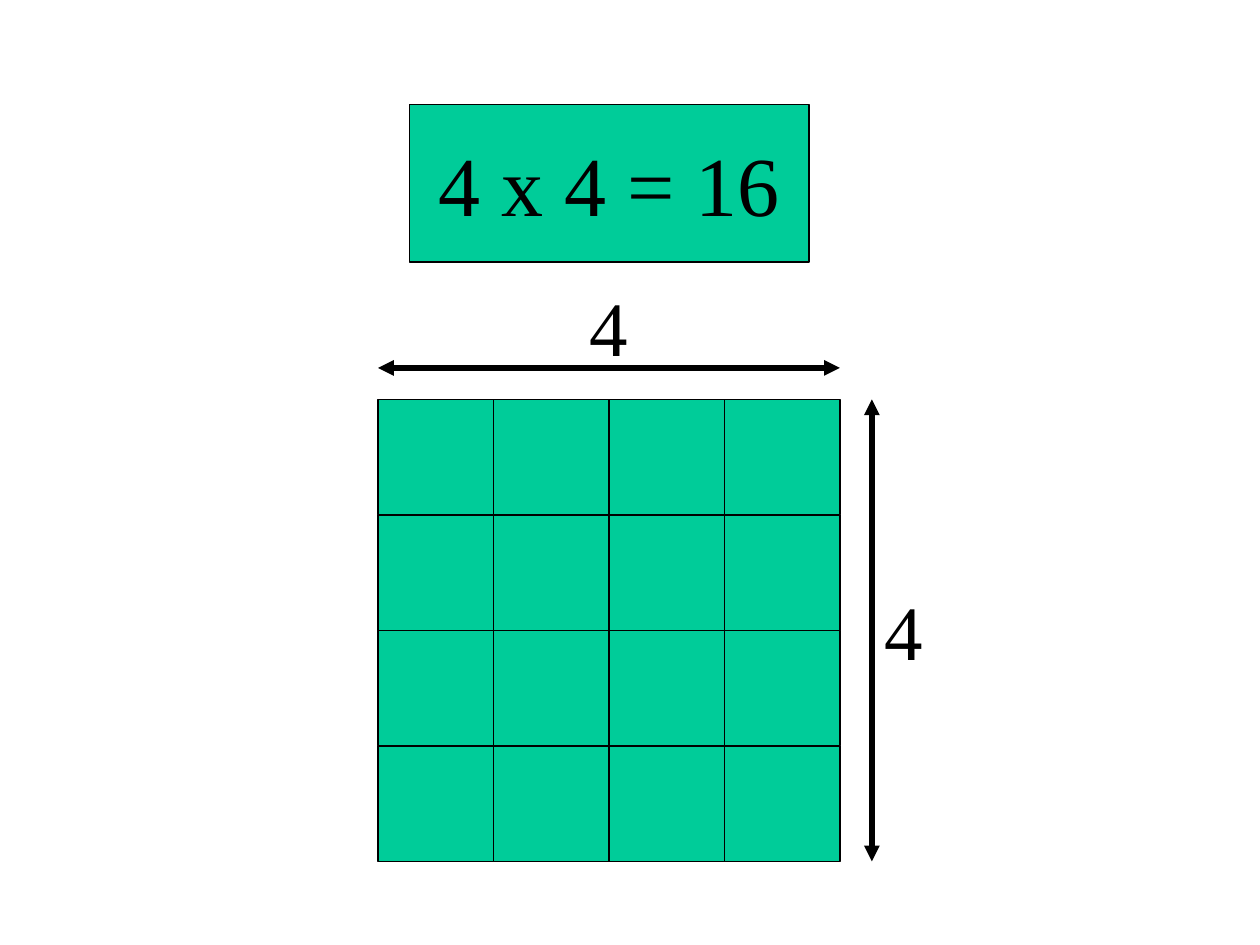
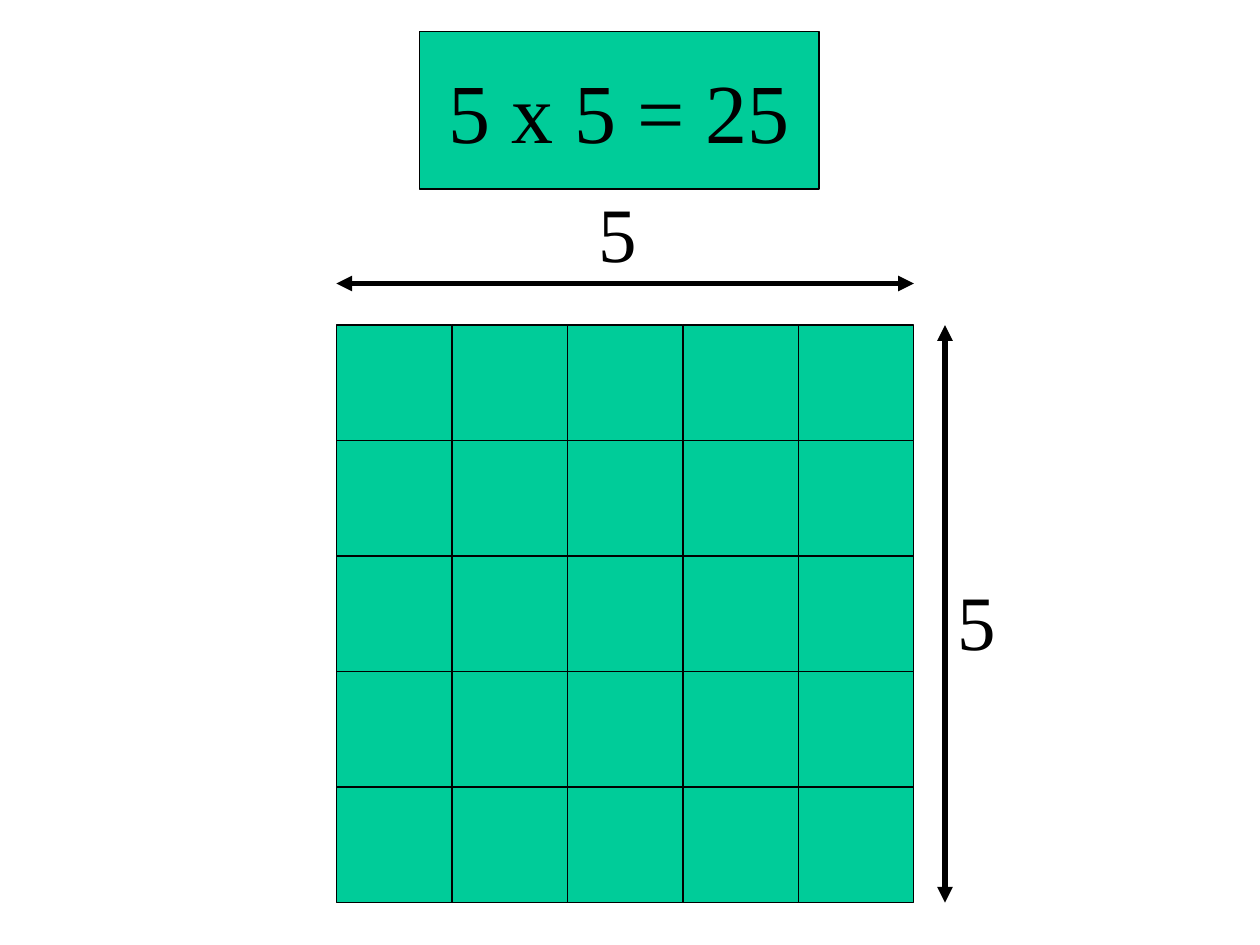
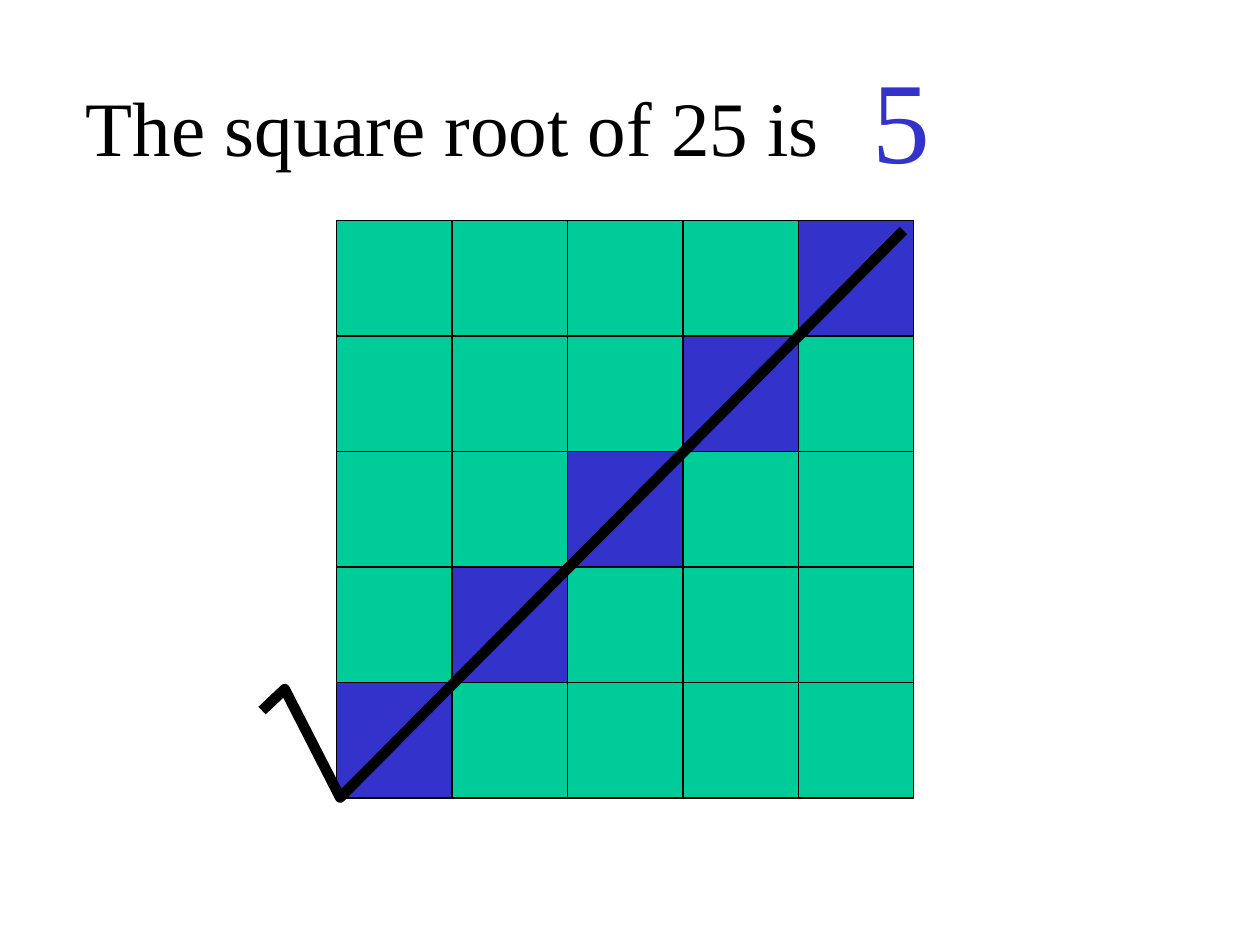
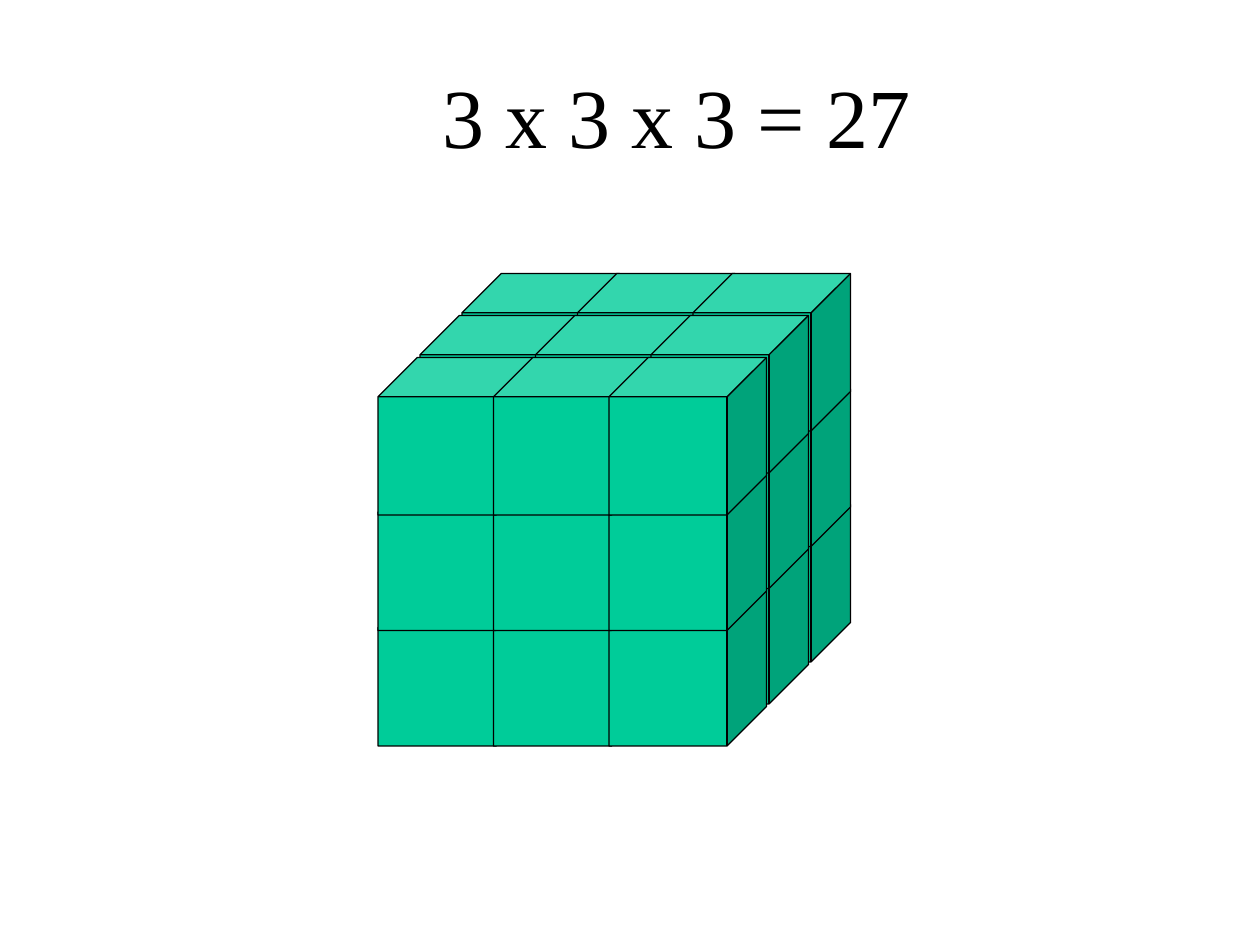
"""Build four slides on squares, square roots and cubes."""
from dataclasses import dataclass
from itertools import product

from lxml import etree
from pptx import Presentation
from pptx.dml.color import RGBColor
from pptx.enum.shapes import MSO_CONNECTOR, MSO_SHAPE
from pptx.enum.text import MSO_ANCHOR, MSO_AUTO_SIZE, PP_ALIGN
from pptx.oxml.ns import qn
from pptx.util import Inches, Pt

RECTANGLE, CUBE = MSO_SHAPE.RECTANGLE, MSO_SHAPE.CUBE
STRAIGHT = MSO_CONNECTOR.STRAIGHT
TOP, MIDDLE = MSO_ANCHOR.TOP, MSO_ANCHOR.MIDDLE
LEFT, CENTER = PP_ALIGN.LEFT, PP_ALIGN.CENTER
NO_AUTOFIT, GROW = MSO_AUTO_SIZE.NONE, MSO_AUTO_SIZE.SHAPE_TO_FIT_TEXT

COLORS = {"green": "00CC99", "blue": "3333CC", "black": "000000"}
FONT = "Times New Roman"
TITLE_ONLY = 5
CELL = 11 / 12
CUBE_SIZE = 1.25
DEPTH_STEP = 1 / 3
LABEL_WIDTH, LABEL_HEIGHT = 0.83, 0.84


@dataclass(frozen=True)
class Box:
    """A place on the slide, in inches."""
    left: float
    top: float
    width: float
    height: float

    def lengths(self) -> list:
        """Return the four values as lengths."""
        return [Inches(value) for value in (self.left, self.top, self.width, self.height)]


@dataclass(frozen=True)
class SquareSlide:
    """A square of cells with its equation and measured sides."""
    side: int
    left: float
    top: float
    title: Box
    width_arrow_top: float
    height_arrow_left: float
    width_label: tuple[float, float]
    height_label: tuple[float, float]


SQUARES = (
    SquareSlide(4, 3, 3.17, Box(3.25, 0.83, 3.17, 1.25), 2.92, 6.92, (4.58, 2.17), (6.92, 4.58)),
    SquareSlide(5, 2.67, 2.58, Box(3.33, 0.25, 3.17, 1.25), 2.25, 7.5, (4.65, 1.42), (7.5, 4.5)),
)
ROOT_SIGN = ((2.08, 5.64), (2.26, 5.47), (2.7, 6.33), (7.17, 1.83))


def color(name: str) -> RGBColor:
    """Look up a colour by name."""
    return RGBColor.from_string(COLORS[name])


def paint(shape, fill: str = "green") -> None:
    """Give a shape its fill and thin black outline."""
    shape.fill.solid()
    shape.fill.fore_color.rgb = color(fill)
    shape.line.color.rgb = color("black")
    shape.line.width = Pt(0.75)


def write(shape, text: str, size: float, font_color: str = "black", align=LEFT) -> None:
    """Put one formatted line of text in a shape."""
    paragraph = shape.text_frame.paragraphs[0]
    paragraph.text = text
    paragraph.alignment = align
    font = paragraph.runs[0].font
    font.name, font.size = FONT, Pt(size)
    font.color.rgb = color(font_color)


def set_title(slide, text: str, box: Box, size: float = 48, align=CENTER, anchor=MIDDLE):
    """Move and write the title placeholder."""
    title = slide.shapes.title
    title.left, title.top, title.width, title.height = box.lengths()
    frame = title.text_frame
    frame.auto_size = NO_AUTOFIT
    frame.word_wrap = False
    frame.vertical_anchor = anchor
    write(title, text, size, align=align)
    return title


def add_label(slide, text: str, box: Box, size: float = 44, font_color: str = "black") -> None:
    """Add a number that stands free on the slide."""
    label = slide.shapes.add_textbox(*box.lengths())
    label.text_frame.word_wrap = True
    label.text_frame.auto_size = GROW
    write(label, text, size, font_color)


def add_solid(slide, kind, box: Box, fill: str = "green") -> None:
    """Add one painted cell or cube."""
    shape = slide.shapes.add_shape(kind, *box.lengths())
    shape.shadow.inherit = False
    paint(shape, fill)


def add_grid(slide, side: int, left: float, top: float, diagonal: str = "green") -> None:
    """Add a square of cells with a coloured rising diagonal."""
    for row, column in product(range(side), repeat=2):
        fill = diagonal if row + column == side - 1 else "green"
        add_solid(slide, RECTANGLE, Box(left + column * CELL, top + row * CELL, CELL, CELL), fill)


def add_double_arrow(slide, start: tuple[float, float], end: tuple[float, float]) -> None:
    """Add a measuring line with a head at both ends."""
    connector = slide.shapes.add_connector(STRAIGHT, *map(Inches, start + end))
    connector.line.color.rgb = color("black")
    connector.line.width = Pt(3)
    line = connector.line._get_or_add_ln()
    for tag in ("a:headEnd", "a:tailEnd"):
        etree.SubElement(line, qn(tag), type="triangle")
    etree.SubElement(connector._element.spPr, qn("a:effectLst"))


def add_root_sign(slide) -> None:
    """Draw the root sign along the diagonal."""
    points = [(Inches(x), Inches(y)) for x, y in ROOT_SIGN]
    builder = slide.shapes.build_freeform(*points[0], scale=1.0)
    builder.add_line_segments(points[1:], close=False)
    sign = builder.convert_to_shape()
    sign.shadow.inherit = False
    sign.fill.background()
    sign.line.color.rgb = color("black")
    sign.line.width = Pt(6)


def build_square(slide, square: SquareSlide) -> None:
    """Show a number multiplied by itself."""
    side = square.side
    right, bottom = square.left + side * CELL, square.top + side * CELL
    add_grid(slide, side, square.left, square.top)
    paint(set_title(slide, f"{side} x {side} = {side ** 2}", square.title))
    add_double_arrow(slide, (square.left, square.width_arrow_top), (right, square.width_arrow_top))
    add_double_arrow(slide, (square.height_arrow_left, bottom), (square.height_arrow_left, square.top))
    for position in (square.width_label, square.height_label):
        add_label(slide, str(side), Box(*position, LABEL_WIDTH, LABEL_HEIGHT))


def build_root(slide) -> None:
    """Show the square root as the diagonal of the square."""
    set_title(slide, "The square root of 25 is", Box(0.58, 0.58, 6.25, 0.84), 44, LEFT, TOP)
    add_grid(slide, 5, 2.67, 1.75, diagonal="blue")
    add_root_sign(slide)
    add_label(slide, "5", Box(6.83, 0.33, 1.58, 1.2), 66, "blue")


def build_cube(slide, side: int = 3) -> None:
    """Stack cubes from the bottom up and from back to front."""
    set_title(slide, "3 x 3 x 3 = 27", Box(3.33, 0.25, 4.08, 1.33))
    for level, depth, column in product(range(side), reversed(range(side)), range(side)):
        left = 3 + column * CELL + depth * DEPTH_STEP
        top = 4.67 - level * CELL - depth * DEPTH_STEP
        add_solid(slide, CUBE, Box(left, top, CUBE_SIZE, CUBE_SIZE))


def main() -> None:
    """Build and save the presentation."""
    presentation = Presentation()
    presentation.slide_width, presentation.slide_height = Inches(10), Inches(7.5)
    layout = presentation.slide_layouts[TITLE_ONLY]
    for square in SQUARES:
        build_square(presentation.slides.add_slide(layout), square)
    for build in (build_root, build_cube):
        build(presentation.slides.add_slide(layout))
    presentation.save("out.pptx")


if __name__ == "__main__":
    main()
